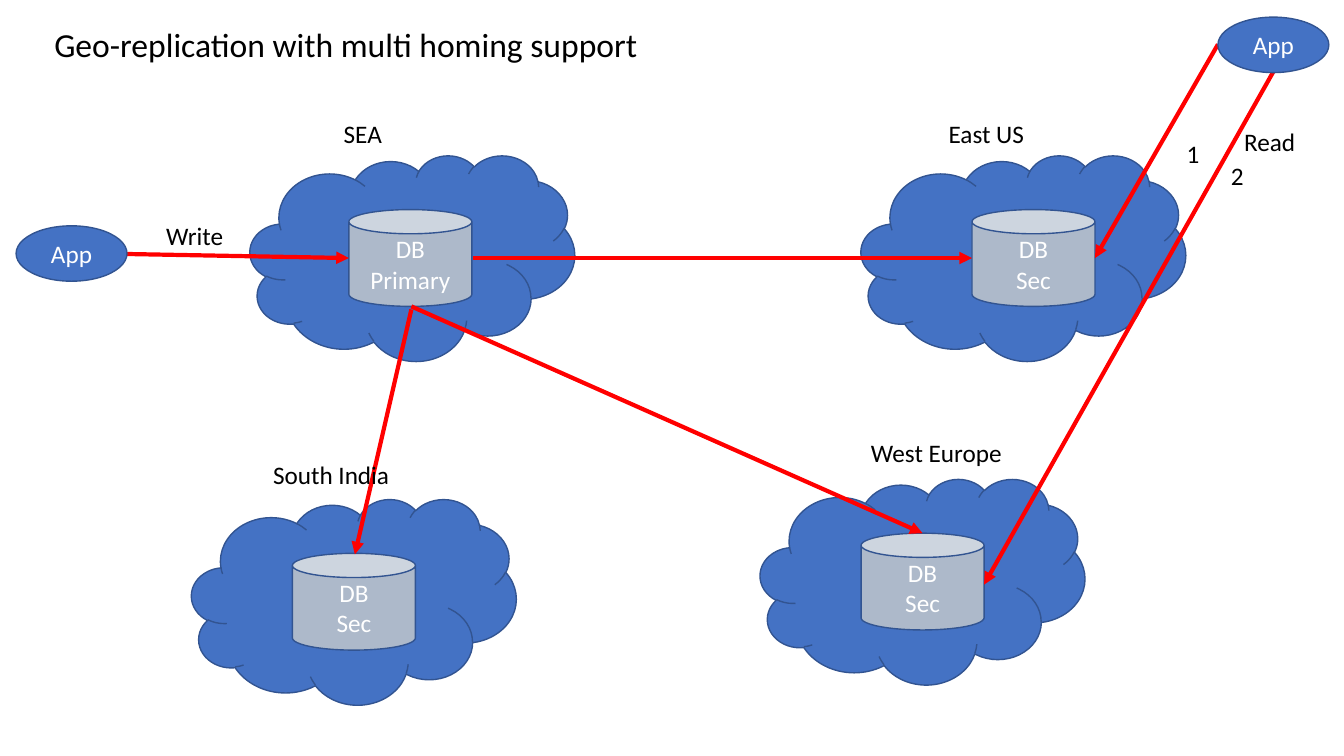
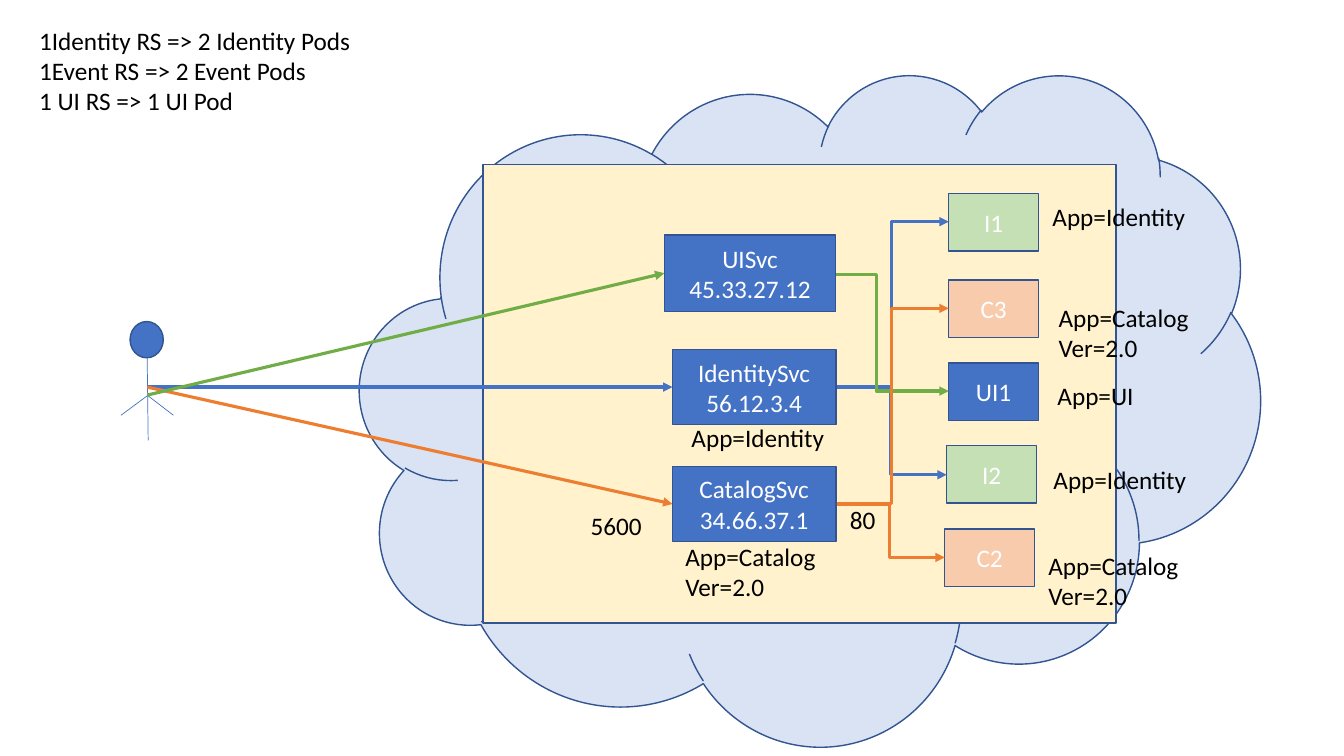
from lxml import etree
from pptx import Presentation
from pptx.dml.color import RGBColor
from pptx.enum.shapes import MSO_CONNECTOR, MSO_SHAPE
from pptx.enum.text import MSO_ANCHOR, PP_ALIGN
from pptx.oxml.ns import qn
from pptx.util import Inches, Pt

CLOUD, CAN = MSO_SHAPE.CLOUD, MSO_SHAPE.CAN
OVAL, RECTANGLE = MSO_SHAPE.OVAL, MSO_SHAPE.RECTANGLE
STRAIGHT, ELBOW = MSO_CONNECTOR.STRAIGHT, MSO_CONNECTOR.ELBOW
CENTER, LEFT = PP_ALIGN.CENTER, PP_ALIGN.LEFT
MIDDLE, TOP = MSO_ANCHOR.MIDDLE, MSO_ANCHOR.TOP

FONT = "Calibri"
COLORS = {
    "blue": "4472C4", "outline": "325491", "gray": "ADB9CA", "red": "FF0000",
    "pale_blue": "DAE3F3", "cream": "FFF2CC", "pale_green": "C5E0B4",
    "peach": "F8CBAD", "orange": "ED7D31", "green": "70AD47",
    "white": "FFFFFF", "black": "000000",
}


def add_box(slide, at, text="", kind=None, fill="blue", size=18):
    """Add a filled shape with centred white text, or a plain text box if kind is None."""
    bounds = [Inches(length) for length in at]
    if kind is None:
        shape = slide.shapes.add_textbox(*bounds)
        color, alignment, anchor = "black", LEFT, TOP
    else:
        shape = slide.shapes.add_shape(kind, *bounds)
        shape.shadow.inherit = False
        shape.fill.solid()
        shape.fill.fore_color.rgb = RGBColor.from_string(COLORS[fill])
        shape.line.color.rgb = RGBColor.from_string(COLORS["outline"])
        shape.line.width = Pt(1)
        color, alignment, anchor = "white", CENTER, MIDDLE
    if text:
        frame = shape.text_frame
        frame.word_wrap = True
        frame.vertical_anchor = anchor
        frame.text = text
        for paragraph in frame.paragraphs:
            paragraph.alignment = alignment
            paragraph.font.name = FONT
            paragraph.font.size = Pt(size)
            paragraph.font.color.rgb = RGBColor.from_string(COLORS[color])


def add_line(slide, start, end, color, width, kind=STRAIGHT, arrow=True):
    points = [Inches(length) for length in (*start, *end)]
    line = slide.shapes.add_connector(kind, *points)
    line.line.color.rgb = RGBColor.from_string(COLORS[color])
    line.line.width = Pt(width)
    if arrow:
        etree.SubElement(line.line._get_or_add_ln(), qn("a:tailEnd"), type="triangle")
    etree.SubElement(line._element.spPr, qn("a:effectLst"))


presentation = Presentation()
presentation.slide_width = Inches(13.33)
presentation.slide_height = Inches(7.5)
blank_layout = presentation.slide_layouts[6]

# Slide 1: geo-replication
slide = presentation.slides.add_slide(blank_layout)

# cloud left, cloud top, database left, database text
regions = [
    (2.48, 1.54, 3.46, "DB\nPrimary"),
    (8.54, 1.54, 9.64, "DB\nSec"),
    (1.9, 4.95, 2.9, "DB\nSec"),
    (7.54, 4.75, 8.54, "DB\nSec"),
]
for cloud_left, cloud_top, database_left, role in regions:
    add_box(slide, (cloud_left, cloud_top, 3.22, 2.04), kind=CLOUD)
    add_box(slide, (database_left, cloud_top + 0.54, 1.22, 0.96), role, CAN, "gray")

flows = [
    ((4.69, 2.56), (9.64, 2.56)),
    ((4.08, 3.04), (9.15, 5.29)),
    ((4.08, 3.07), (3.52, 5.5)),
    ((1.25, 2.52), (3.46, 2.56)),
    ((12.08, 0.44), (10.86, 2.56)),
    ((12.63, 0.71), (9.76, 5.8)),
]
for start, end in flows:
    add_line(slide, start, end, "red", 3)

for left, top in [(0.16, 2.24), (12.08, 0.17)]:
    add_box(slide, (left, top, 1.1, 0.55), "App", OVAL)

add_box(slide, (0.44, 0.19, 7.39, 0.5), "Geo-replication with multi homing support", size=24)
labels = [
    (3.31, 1.12, 2.15, "SEA"),
    (9.31, 1.12, 1.82, "East US"),
    (8.54, 4.29, 1.66, "West Europe"),
    (2.61, 4.51, 1.66, "South India"),
    (11.67, 1.32, 0.33, "1"),
    (12.11, 1.54, 0.33, "2"),
    (1.55, 2.14, 0.82, "Write"),
    (12.24, 1.2, 0.82, "Read"),
]
for left, top, width, text in labels:
    add_box(slide, (left, top, width, 0.4), text)

# Slide 2: services and pods
slide = presentation.slides.add_slide(blank_layout)
add_box(slide, (3.57, 0.73, 8.93, 6.66), kind=CLOUD, fill="pale_blue")
add_box(slide, (4.79, 1.63, 6.28, 4.55), kind=RECTANGLE, fill="cream")

pods = [
    (9.41, 1.92, "I1", "pale_green"),
    (9.41, 2.78, "C3", "peach"),
    (9.41, 3.6, "UI1", "blue"),
    (9.39, 4.42, "I2", "pale_green"),
    (9.37, 5.25, "C2", "peach"),
]
for left, top, name, fill in pods:
    add_box(slide, (left, top, 0.89, 0.57), name, RECTANGLE, fill)

# User figure: head, then body and legs
add_box(slide, (1.29, 3.19, 0.33, 0.36), kind=OVAL)
limbs = [
    ((1.47, 4.37), (1.46, 3.55)),
    ((1.72, 4.12), (1.46, 3.92)),
    ((1.2, 4.12), (1.47, 3.92)),
]
for start, end in limbs:
    add_line(slide, start, end, "blue", 0.5, arrow=False)

routes = [
    ((1.46, 3.84), (6.67, 3.84), "blue", STRAIGHT),
    ((8.28, 3.84), (9.41, 2.2), "blue", ELBOW),
    ((8.28, 3.84), (9.39, 4.71), "blue", ELBOW),
    ((1.46, 3.84), (6.67, 5), "orange", STRAIGHT),
    ((8.28, 5), (9.37, 5.53), "orange", ELBOW),
    ((1.46, 3.92), (6.59, 2.71), "green", STRAIGHT),
    ((7.97, 2.72), (9.41, 3.88), "green", ELBOW),
    ((8.28, 5), (9.41, 3.06), "orange", ELBOW),
]
for start, end, color, kind in routes:
    add_line(slide, start, end, color, 2.25, kind)

services = [
    (6.59, 2.33, 1.7, 0.76, "UISvc\n45.33.27.12"),
    (6.67, 3.47, 1.62, 0.74, "IdentitySvc\n56.12.3.4"),
    (6.67, 4.63, 1.62, 0.74, "CatalogSvc\n34.66.37.1"),
]
for *at, text in services:
    add_box(slide, at, text, RECTANGLE)

notes = [
    (0.29, 0.2, 4.04, 1.01,
     "1Identity RS => 2 Identity Pods\n1Event RS => 2 Event Pods\n1 UI RS => 1 UI Pod"),
    (10.34, 1.95, 1.73, 0.4, "App=Identity"),
    (10.4, 2.95, 2.01, 0.71, "App=Catalog\nVer=2.0"),
    (10.39, 3.72, 1.73, 0.4, "App=UI"),
    (10.35, 4.56, 1.73, 0.4, "App=Identity"),
    (10.3, 5.41, 1.73, 0.71, "App=Catalog\nVer=2.0"),
    (6.76, 4.14, 1.73, 0.4, "App=Identity"),
    (6.7, 5.32, 1.73, 0.71, "App=Catalog\nVer=2.0"),
    (5.76, 5.01, 0.83, 0.4, "5600"),
    (8.33, 4.95, 0.9, 0.4, "80"),
]
for *at, text in notes:
    add_box(slide, at, text)

presentation.save("out.pptx")
